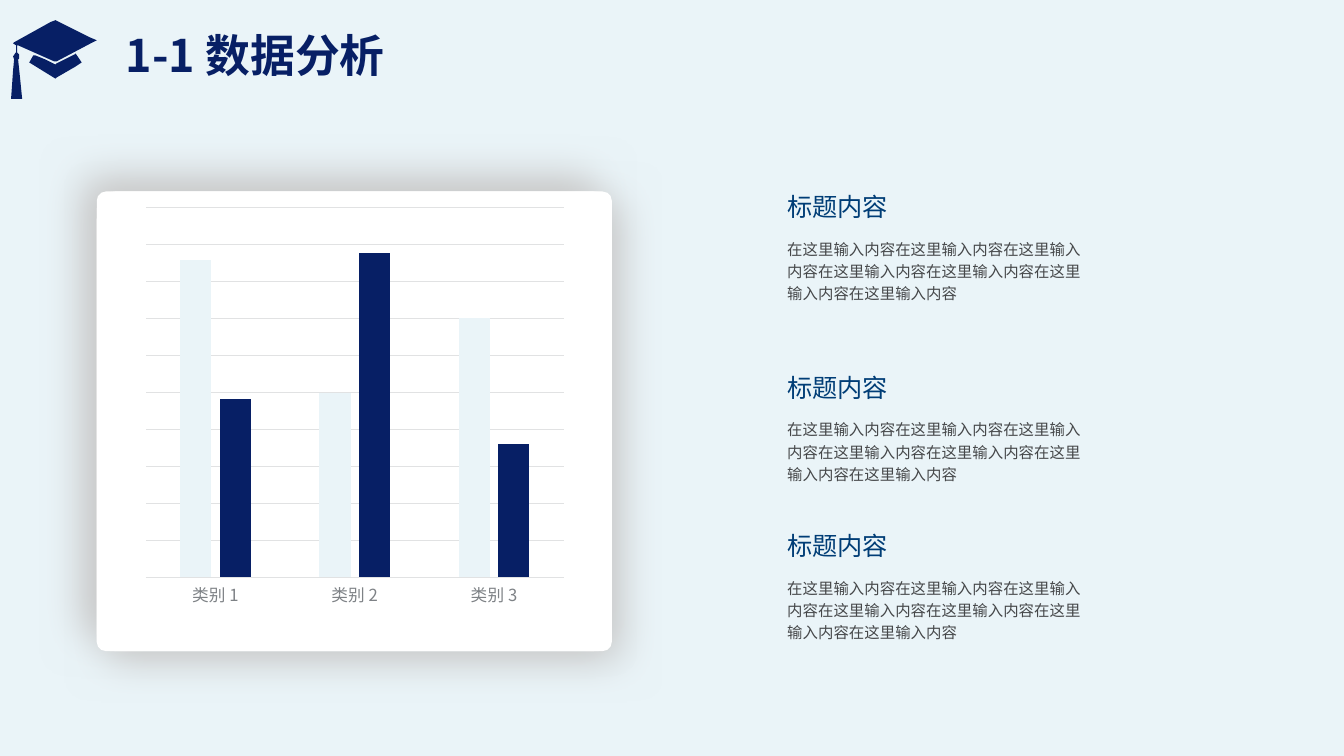
"""Build the data analysis slide with a column chart card and three text blocks."""
import pptx
import pptx.chart.data
import pptx.dml.color
import pptx.enum.chart
import pptx.enum.shapes
import pptx.enum.text
import pptx.oxml
import pptx.oxml.ns
import pptx.util

RGB = pptx.dml.color.RGBColor
PALE = RGB(0xEA, 0xF4, 0xF8)
NAVY = RGB(0x07, 0x1F, 0x65)
WHITE = RGB(0xFF, 0xFF, 0xFF)
HEADING = RGB(0x00, 0x3D, 0x76)
BODY = RGB(0x45, 0x47, 0x49)
CHART_TEXT = RGB(0x3D, 0x3F, 0x41)
AXIS_TEXT = RGB(0x7E, 0x82, 0x86)
GRID_LINE = RGB(0xE1, 0xE2, 0xE3)
SHADOW = RGB(0xC9, 0xC9, 0xC9)

FONT = "Noto Sans CJK SC"
COLUMNS, ROWS = 160, 90
ANCHOR = pptx.enum.text.MSO_ANCHOR
AUTO_SIZE = pptx.enum.text.MSO_AUTO_SIZE

CAP_AND_TASSEL = [
    (17, 45), (17, 52), (19, 54), (19, 58), (18, 59), (20, 78), (22, 98),
    (11, 98), (13, 70), (14, 59), (13, 56), (15, 53), (16, 52), (16, 45),
    (13, 43), (14, 42), (50, 22), (55, 19.5), (89, 37), (96, 40), (92, 42),
    (56, 61), (54, 61), (18, 45),
]
CAP_BASE = [
    (29, 62), (33, 55), (35, 55), (45, 59), (55, 64), (56, 63), (74, 54),
    (75, 53), (81, 62), (75, 66), (56, 77), (55, 78),
]


class SlideBuilder:
    """Draw styled elements on one slide, measured in grid columns and rows."""

    def __init__(self, presentation):
        self.cell = presentation.slide_width / COLUMNS
        self.slide = presentation.slides.add_slide(presentation.slide_layouts[6])
        self.slide.background.fill.solid()
        self.slide.background.fill.fore_color.rgb = PALE

    def box(self, *lengths):
        return [pptx.util.Emu(round(length * self.cell)) for length in lengths]

    def style_font(self, font, size, color, bold=False):
        font.name, font.size, font.bold = FONT, pptx.util.Pt(size), bold
        font.color.rgb = color

    def paint(self, shape, color):
        shape.shadow.inherit = False
        shape.fill.solid()
        shape.fill.fore_color.rgb = color
        shape.line.fill.background()

    def outline(self, points, color):
        builder = self.slide.shapes.build_freeform(*points[0], scale=self.cell * 0.12)
        builder.add_line_segments(points[1:], close=True)
        self.paint(builder.convert_to_shape(), color)

    def card(self, area, rounding, shadow=None):
        panel = self.slide.shapes.add_shape(
            pptx.enum.shapes.MSO_SHAPE.ROUNDED_RECTANGLE, *self.box(*area))
        panel.adjustments[0] = rounding
        self.paint(panel, WHITE)
        if shadow:
            distance, angle = shadow
            effects = panel._element.spPr.find(pptx.oxml.ns.qn("a:effectLst"))
            effects.append(pptx.oxml.parse_xml(
                f'<a:outerShdw {pptx.oxml.ns.nsdecls("a")} '
                f'blurRad="{pptx.util.Pt(30)}" dist="{pptx.util.Pt(distance)}" '
                f'dir="{angle * 60000}" algn="ctr" rotWithShape="0">'
                f'<a:srgbClr val="{SHADOW}"/></a:outerShdw>'))

    def text(self, area, wording, size, color, anchor, bold=False, spacing=None,
             wrap=True, inset=True, fit=AUTO_SIZE.NONE):
        frame = self.slide.shapes.add_textbox(*self.box(*area)).text_frame
        frame.word_wrap, frame.vertical_anchor, frame.auto_size = wrap, anchor, fit
        if not inset:
            frame.margin_left = frame.margin_right = 0
            frame.margin_top = frame.margin_bottom = 0
        paragraph = frame.paragraphs[0]
        paragraph.text = wording
        paragraph.line_spacing = spacing
        self.style_font(paragraph.font, size, color, bold)

    def column_chart(self, area, categories, series_values, colors, maximum, step):
        data = pptx.chart.data.CategoryChartData()
        data.categories = categories
        for name, values in series_values.items():
            data.add_series(name, values)
        chart = self.slide.shapes.add_chart(
            pptx.enum.chart.XL_CHART_TYPE.COLUMN_CLUSTERED,
            *self.box(*area), data).chart
        chart.has_legend = chart.has_title = False
        self.style_font(chart.font, 10, CHART_TEXT)

        plot = chart.plots[0]
        plot.gap_width, plot.overlap, plot.vary_by_categories = 219, -27, False
        for series, color in zip(plot.series, colors):
            series.format.fill.solid()
            series.format.fill.fore_color.rgb = color

        value_axis, category_axis = chart.value_axis, chart.category_axis
        value_axis.minimum_scale, value_axis.maximum_scale = 0, maximum
        value_axis.major_unit = step
        value_axis.has_major_gridlines = True
        value_axis.visible = False
        category_axis.major_tick_mark = pptx.enum.chart.XL_TICK_MARK.NONE
        self.style_font(category_axis.tick_labels.font, 11.9, AXIS_TEXT)
        for line in (value_axis.major_gridlines.format.line, category_axis.format.line):
            line.color.rgb = GRID_LINE
            line.width = pptx.util.Pt(0.75)
        self.place_plot(chart, x=0.02, y=0.02, w=0.96, h=0.89)

    def place_plot(self, chart, **shares):
        plot_area = chart._chartSpace.chart.plotArea
        for layout in plot_area.findall(pptx.oxml.ns.qn("c:layout")):
            plot_area.remove(layout)
        sizes = "".join(f'<c:{key} val="{share}"/>' for key, share in shares.items())
        plot_area.insert(0, pptx.oxml.parse_xml(
            f'<c:layout {pptx.oxml.ns.nsdecls("c")}><c:manualLayout>'
            '<c:layoutTarget val="inner"/><c:xMode val="edge"/><c:yMode val="edge"/>'
            f'{sizes}</c:manualLayout></c:layout>'))

    def text_block(self, left, top, heading, body):
        self.text((left, top + 5.28, 35.76, 8.04), body, 11, BODY, ANCHOR.MIDDLE,
                  spacing=1.2, inset=False, fit=AUTO_SIZE.SHAPE_TO_FIT_TEXT)
        self.text((left, top, 12.12, 3.6), heading, 18, HEADING, ANCHOR.BOTTOM,
                  wrap=False, inset=False, fit=AUTO_SIZE.SHAPE_TO_FIT_TEXT)


def main():
    presentation = pptx.Presentation()
    presentation.slide_width = pptx.util.Inches(40 / 3)
    presentation.slide_height = presentation.slide_width * ROWS // COLUMNS
    builder = SlideBuilder(presentation)

    for cap_part in (CAP_AND_TASSEL, CAP_BASE):
        builder.outline(cap_part, NAVY)
    builder.text((13.8, 1.08, 145.08, 9.24), "1-1 数据分析", 32, NAVY,
                 ANCHOR.BOTTOM, bold=True, spacing=0.9)

    for rounding, shadow in ((0.03, (10, 45)), (0.04, (15, 225)), (0.02, None)):
        builder.card((11.52, 22.8, 61.32, 54.72), rounding, shadow)
    builder.column_chart(
        (16.32, 23.76, 51.84, 49.44),
        ["类别 1", "类别 2", "类别 3"],
        {"Series 1": (98, 57, 80), "Series 2": (55, 100, 41)},
        (PALE, NAVY), maximum=114, step=11.4)

    for top in (22.8, 44.28, 63.12):
        builder.text_block(93.72, top, "标题内容", "在这里输入内容" * 7)

    presentation.save("out.pptx")


if __name__ == "__main__":
    main()
